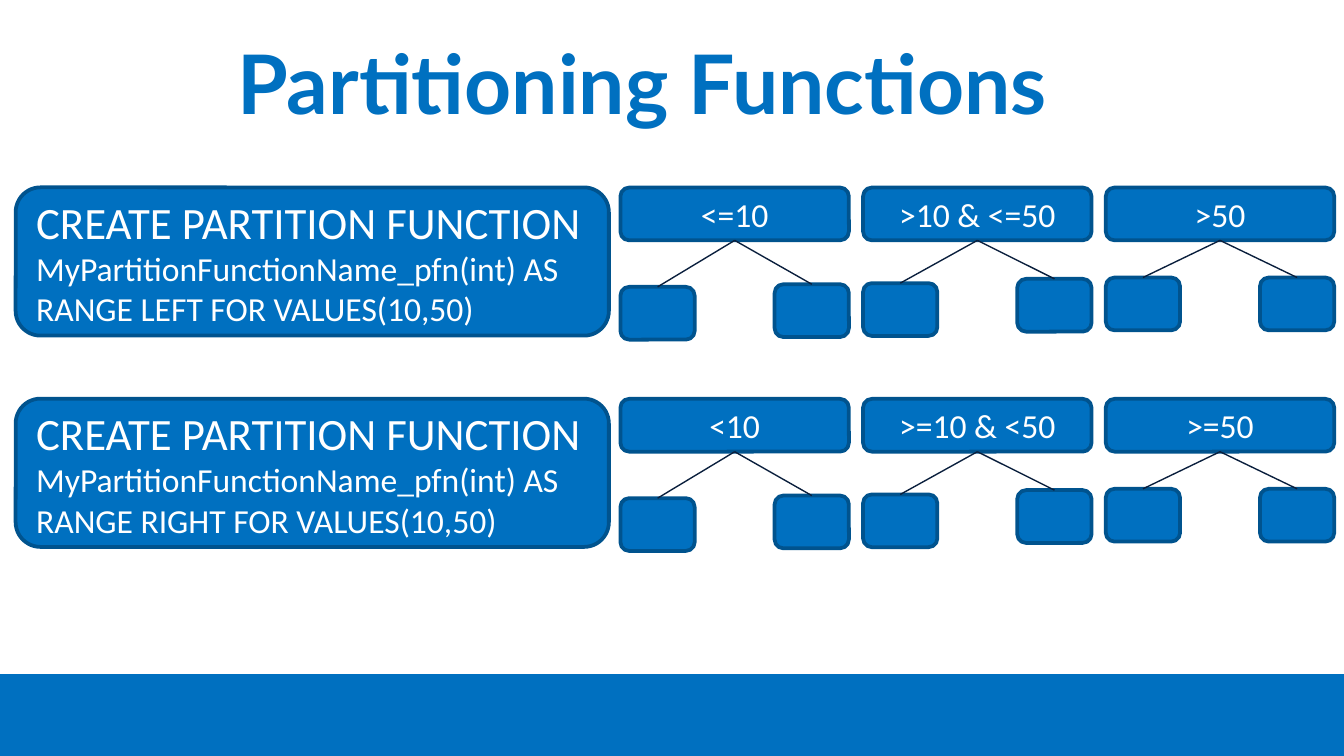
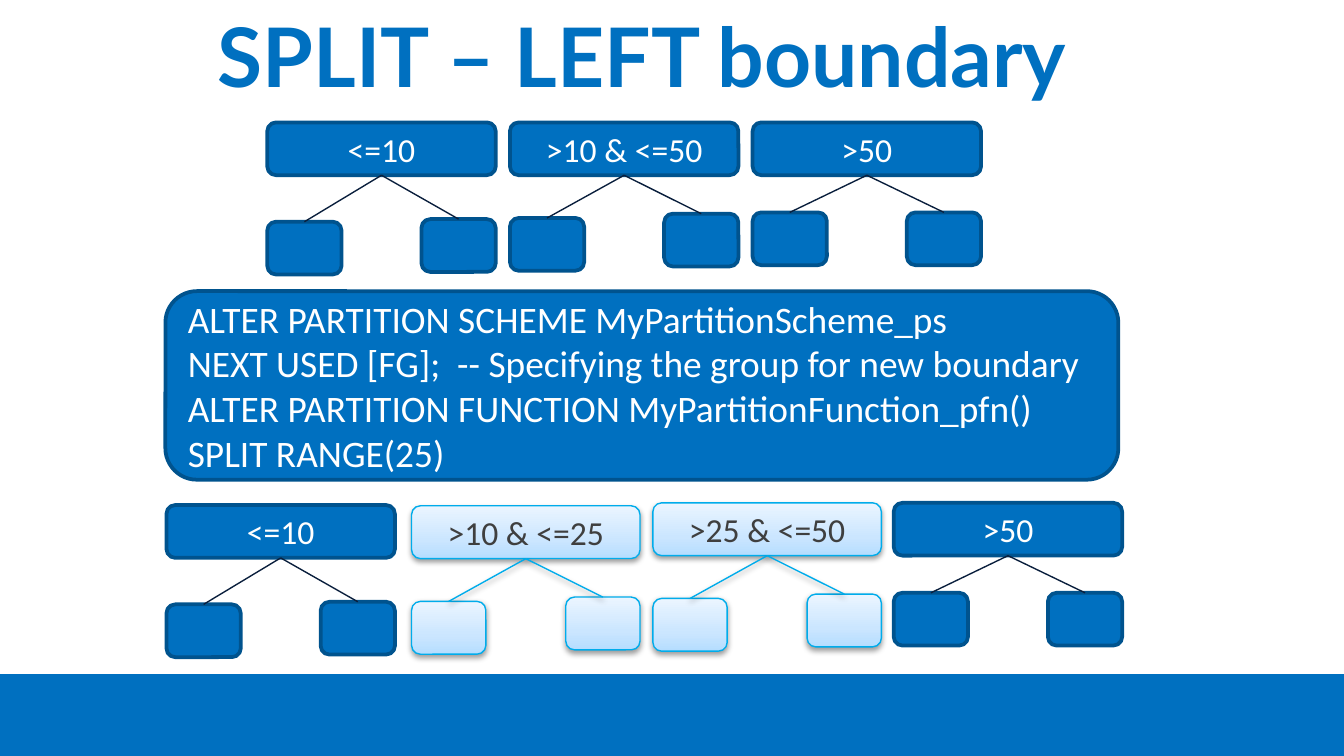
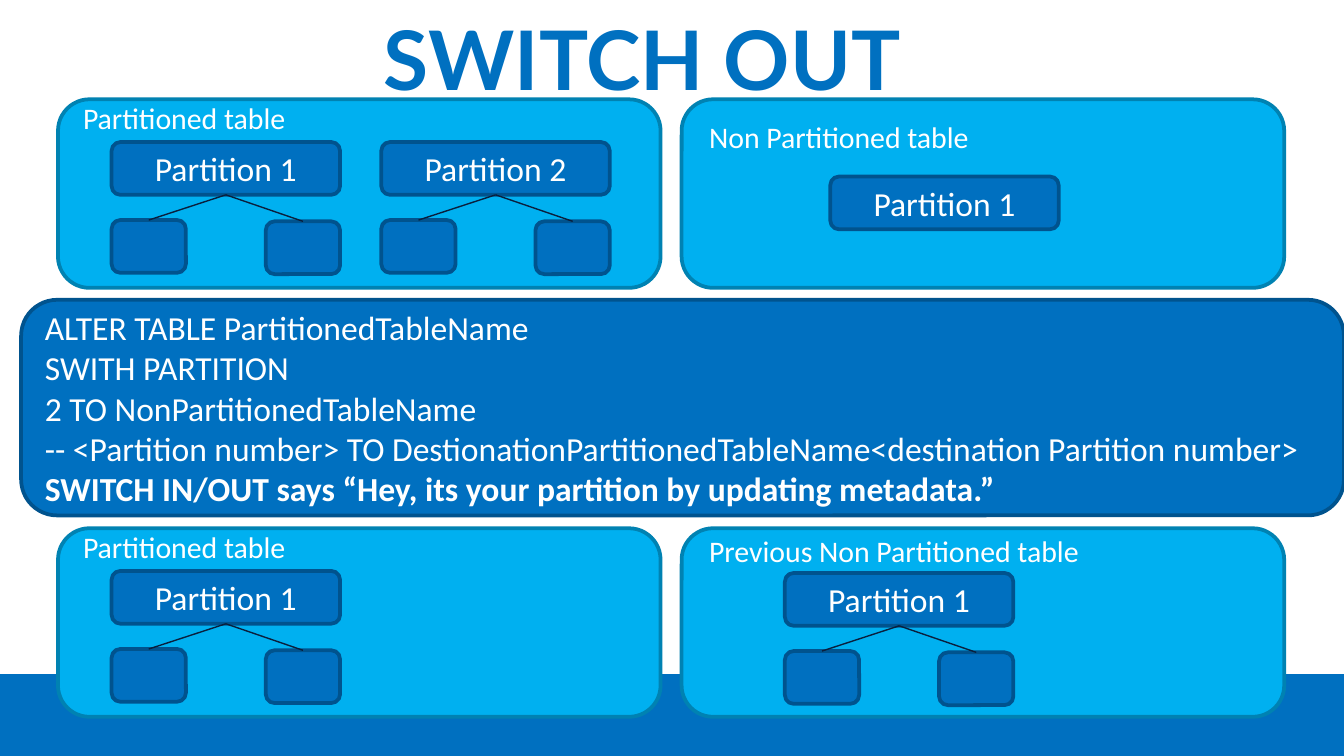
"""Build three slides on table partitioning: functions, split and switch out."""
from dataclasses import dataclass

from lxml import etree
from pptx import Presentation
from pptx.dml.color import RGBColor
from pptx.enum.shapes import MSO_CONNECTOR, MSO_SHAPE
from pptx.enum.text import MSO_ANCHOR, PP_ALIGN
from pptx.oxml.ns import qn
from pptx.util import Pt

RECT, ROUND = MSO_SHAPE.RECTANGLE, MSO_SHAPE.ROUNDED_RECTANGLE
LINE = MSO_CONNECTOR.STRAIGHT
LEFT, MID = PP_ALIGN.LEFT, PP_ALIGN.CENTER
TOP, CORE = MSO_ANCHOR.TOP, MSO_ANCHOR.MIDDLE


@dataclass(frozen=True)
class Style:
    fill: object
    edge: str
    width: float
    ink: str
    link: str
    glow: bool = False


@dataclass(frozen=True)
class Theme:
    blue: str = "0070C0"
    white: str = "FFFFFF"
    head: str = "Lato"
    body: str = "Calibri"
    title: int = 44
    large: int = 24
    code: int = 20
    text: int = 18
    label: int = 16
    hair: float = 0.75


THEME = Theme()
SOLID = Style(THEME.blue, "00538E", 2, THEME.white, "0A1F3D")
PANEL = Style("00B0F0", "0082B2", 2, THEME.white, "0A1F3D")
FRESH = Style(((0, "B5DDFF"), (35, "CBE6FF"), (100, "EBF5FF")),
              "00ACEB", THEME.hair, "3F3F3F", "00ACEB", True)

WIDE, HIGH = 720, 405
BAND = (0, 361.2, WIDE, 43.8)
HEAD_W, HEAD_H, KID_W = 122.4, 28.3, 39.8
STEP = 130
DROPS = ((53.2, 51.8), (51.2, 48.9), (48.2, 48.2))
NEAR = (41.8, 42.5)


def row(x, y, *names):
    return [(name, x + i * STEP, y, drop, SOLID)
            for i, (name, drop) in enumerate(zip(names, DROPS))]


def define(side):
    return [[("CREATE PARTITION FUNCTION ", {"size": THEME.large}),
             ("MyPartitionFunctionName_pfn(int) AS", {})],
            [(f"RANGE {side} FOR VALUES(10,50)", {})]]


SLIDES = [
    {
        "title": ("Partitioning Functions", 10.1, 67.7),
        "codes": [((8.4, 100.4, 317.8, 79.4), THEME.text, define("LEFT")),
                  ((8.4, 213.6, 317.8, 79.4), THEME.text, define("RIGHT"))],
        "trees": row(332.4, 100.5, "<=10", ">10 & <=50", ">50")
        + row(332.4, 213.7, "<10", ">=10 & <50", ">=50"),
    },
    {
        "title": ("SPLIT – LEFT boundary", -1.4, 61.2),
        "codes": [((88.6, 156, 510.5, 101), THEME.code, [
            "ALTER PARTITION SCHEME MyPartitionScheme_ps",
            "NEXT USED [FG];  -- Specifying the group for new boundary",
            "ALTER PARTITION FUNCTION MyPartitionFunction_pfn()",
            "SPLIT RANGE(25)"])],
        "trees": row(143.2, 65.6, "<=10", ">10 & <=50", ">50") + [
            ("<=10", 89.2, 270.6, DROPS[0], SOLID),
            (">10 & <=25", 220.5, 271, DROPS[1], FRESH),
            (">25 & <=50", 349.8, 269.4, DROPS[1], FRESH),
            (">50", 478.8, 269.4, DROPS[2], SOLID)],
    },
    {
        "title": ("SWITCH OUT", 0, 61.2),
        "panels": [(x, y, 322.8, 101) for y in (53.2, 283) for x in (31.1, 365.2)],
        "codes": [((11.3, 160.6, 708.7, 115.5), THEME.text, [
            "ALTER TABLE PartitionedTableName",
            "SWITH PARTITION",
            "2 TO NonPartitionedTableName",
            "-- <Partition number> TO DestionationPartitionedTableName"
            "<destination Partition number>",
            [("SWITCH IN/OUT says “Hey, its your partition by updating metadata.”",
              {"bold": True})]])],
        "trees": [("Partition 1", 59.8, 76.1, NEAR, SOLID),
                  ("Partition 2", 204.3, 76.1, NEAR, SOLID),
                  ("Partition 1", 444.8, 94.6, (), SOLID),
                  ("Partition 1", 59.8, 305.9, NEAR, SOLID),
                  ("Partition 1", 420.5, 307, NEAR, SOLID)],
        "labels": [("Partitioned table", 37.4, 49.9, 123.8),
                   ("Non Partitioned table", 372.8, 60.1, 154.8),
                   ("Partitioned table", 37.4, 279.6, 123.8),
                   ("Previous Non Partitioned table", 372.8, 281.8, 231.1)],
    },
]


def rgb(code):
    return RGBColor.from_string(code)


def place(box):
    return [Pt(n) for n in box]


def write(shape, paras, size=THEME.text, ink=THEME.white, font=THEME.body,
          bold=False, align=LEFT, anchor=CORE, wrap=True):
    frame = shape.text_frame
    frame.word_wrap, frame.vertical_anchor = wrap, anchor
    for i, runs in enumerate(paras):
        para = frame.add_paragraph() if i else frame.paragraphs[0]
        para.alignment = align
        for text, own in [(runs, {})] if isinstance(runs, str) else runs:
            run = para.add_run()
            run.text = text
            run.font.name = font
            run.font.size = Pt(own.get("size", size))
            run.font.bold = own.get("bold", bold)
            run.font.color.rgb = rgb(ink)


def add(parent, tag, **attrs):
    return etree.SubElement(parent, qn(tag), {k: str(v) for k, v in attrs.items()})


def tint(parent, code):
    return add(parent, "a:srgbClr", val=code)


def cast(effects):
    shade = add(effects, "a:outerShdw", blurRad=Pt(3.1), dist=Pt(1.6),
                dir=5400000, rotWithShape=0)
    add(tint(shade, "000000"), "a:alpha", val=38000)


def blend(shape, stops):
    shape.fill.gradient()
    shape.fill.gradient_angle = 90
    group = shape._element.spPr.find(".//" + qn("a:gsLst"))
    for old in list(group):
        group.remove(old)
    for pos, code in stops:
        tint(add(group, "a:gs", pos=pos * 1000), code)


def block(slide, box, style, kind=ROUND):
    shape = slide.shapes.add_shape(kind, *place(box))
    if isinstance(style.fill, str):
        shape.fill.solid()
        shape.fill.fore_color.rgb = rgb(style.fill)
    else:
        blend(shape, style.fill)
    shape.line.color.rgb = rgb(style.edge)
    shape.line.width = Pt(style.width)
    shape.shadow.inherit = False
    if style.glow:
        cast(shape._element.spPr.find(qn("a:effectLst")))
    return shape


def join(slide, head, kid, style):
    link = slide.shapes.add_connector(LINE, 0, 0, 0, 0)
    link.begin_connect(head, 2)
    link.end_connect(kid, 0)
    link.line.color.rgb = rgb(style.link)
    link.line.width = Pt(THEME.hair)
    effects = add(link._element.spPr, "a:effectLst")
    if style.glow:
        cast(effects)


def tree(slide, name, x, y, drops, style):
    head = block(slide, (x, y, HEAD_W, HEAD_H), style)
    write(head, [name], ink=style.ink, align=MID)
    for left, drop in zip((x, x + HEAD_W - KID_W), drops):
        kid = block(slide, (left, y + drop, KID_W, HEAD_H), style)
        join(slide, head, kid, style)


def build(slide, data):
    band = block(slide, BAND, SOLID, RECT)
    band.line.fill.background()
    for box in data.get("panels", ()):
        block(slide, box, PANEL)
    name, y, high = data["title"]
    title = slide.shapes.add_textbox(*place((20.2, y, 648, high)))
    write(title, [name], size=THEME.title, ink=THEME.blue, font=THEME.head,
          bold=True, align=MID)
    for box, size, lines in data["codes"]:
        write(block(slide, box, SOLID), lines, size=size)
    for item in data["trees"]:
        tree(slide, *item)
    for text, x, y, wide in data.get("labels", ()):
        label = slide.shapes.add_textbox(*place((x, y, wide, 26.6)))
        write(label, [text], size=THEME.label, anchor=TOP, wrap=False)


def main():
    deck = Presentation()
    deck.slide_width, deck.slide_height = Pt(WIDE), Pt(HIGH)
    for data in SLIDES:
        build(deck.slides.add_slide(deck.slide_layouts[6]), data)
    deck.save("out.pptx")


if __name__ == "__main__":
    main()
